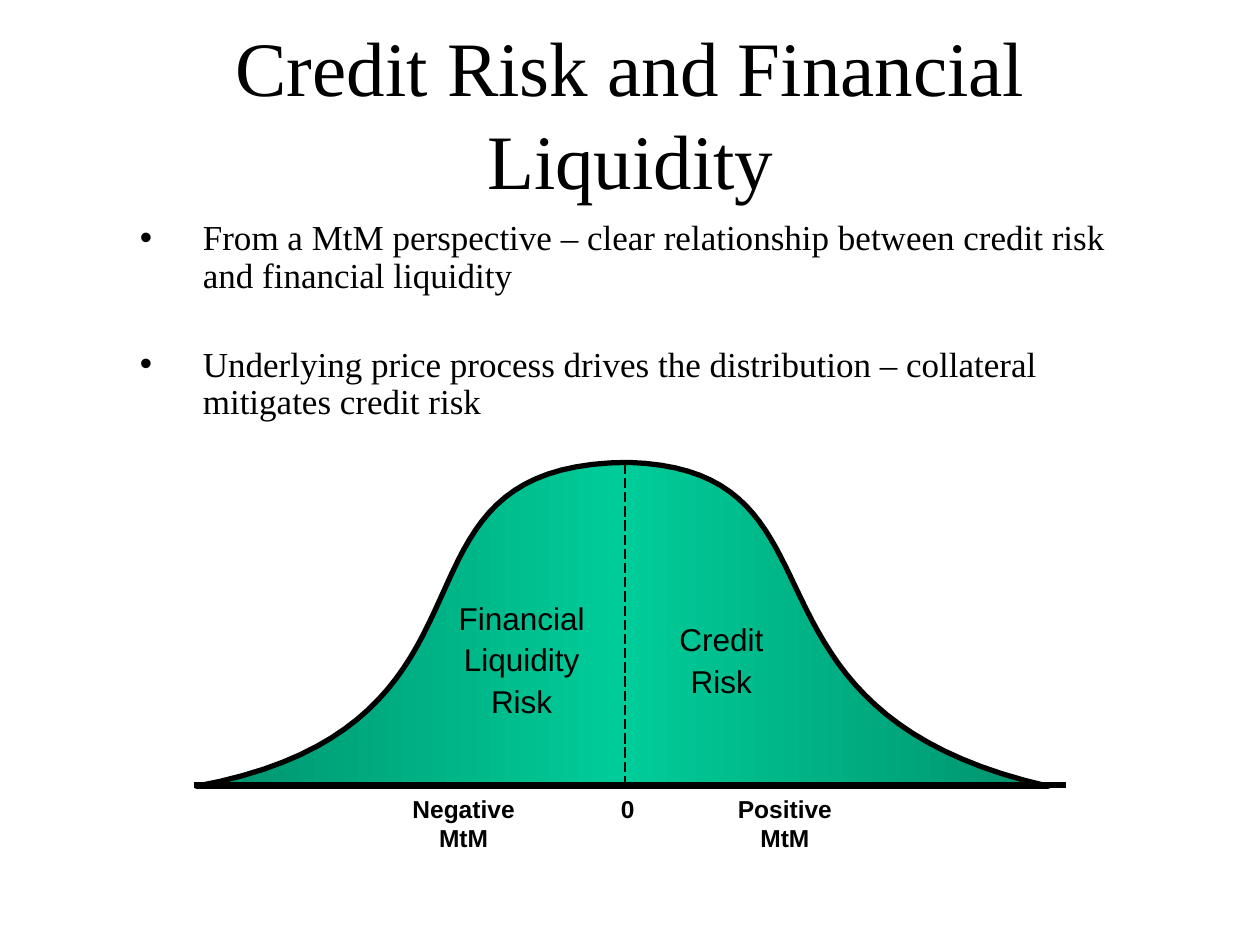
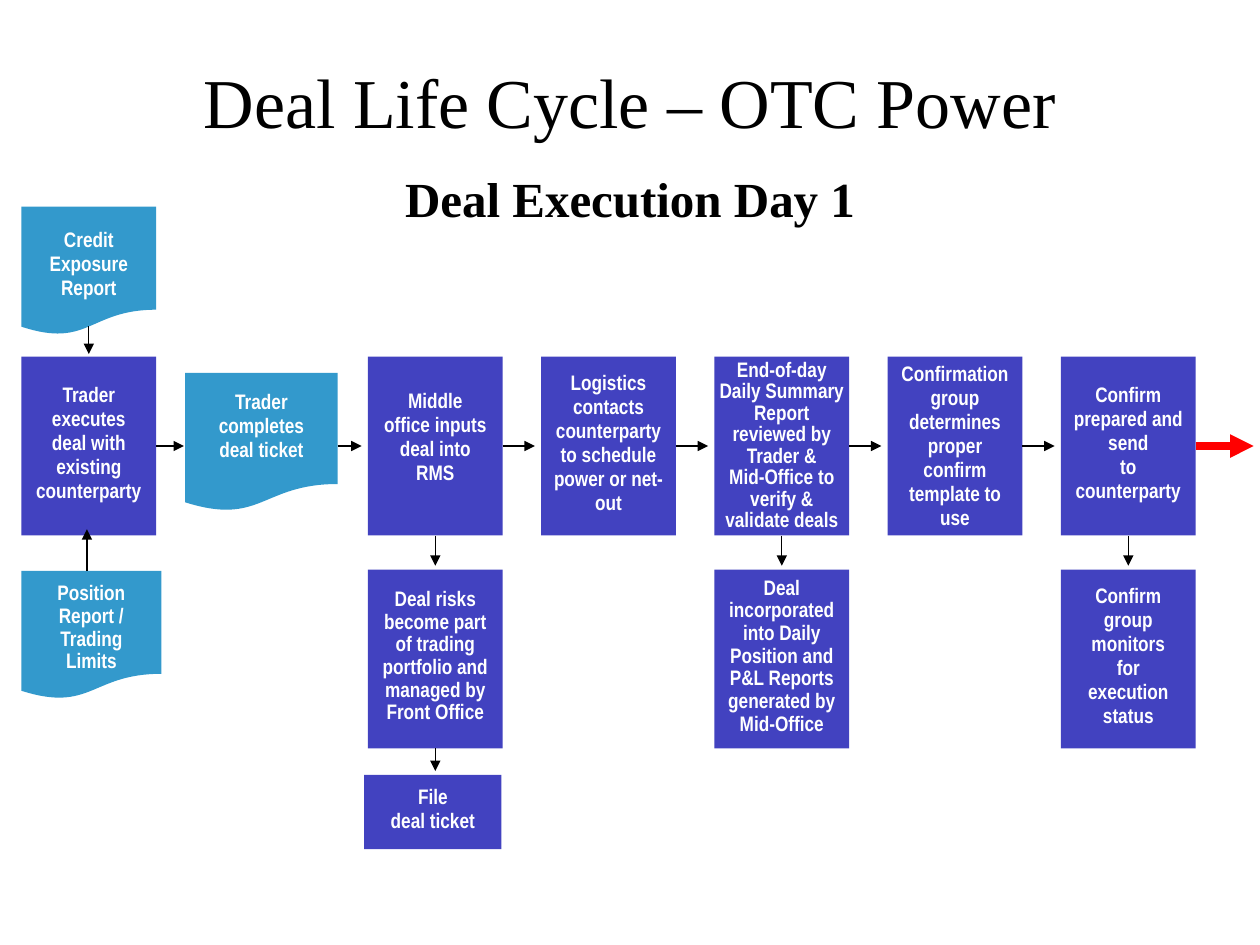
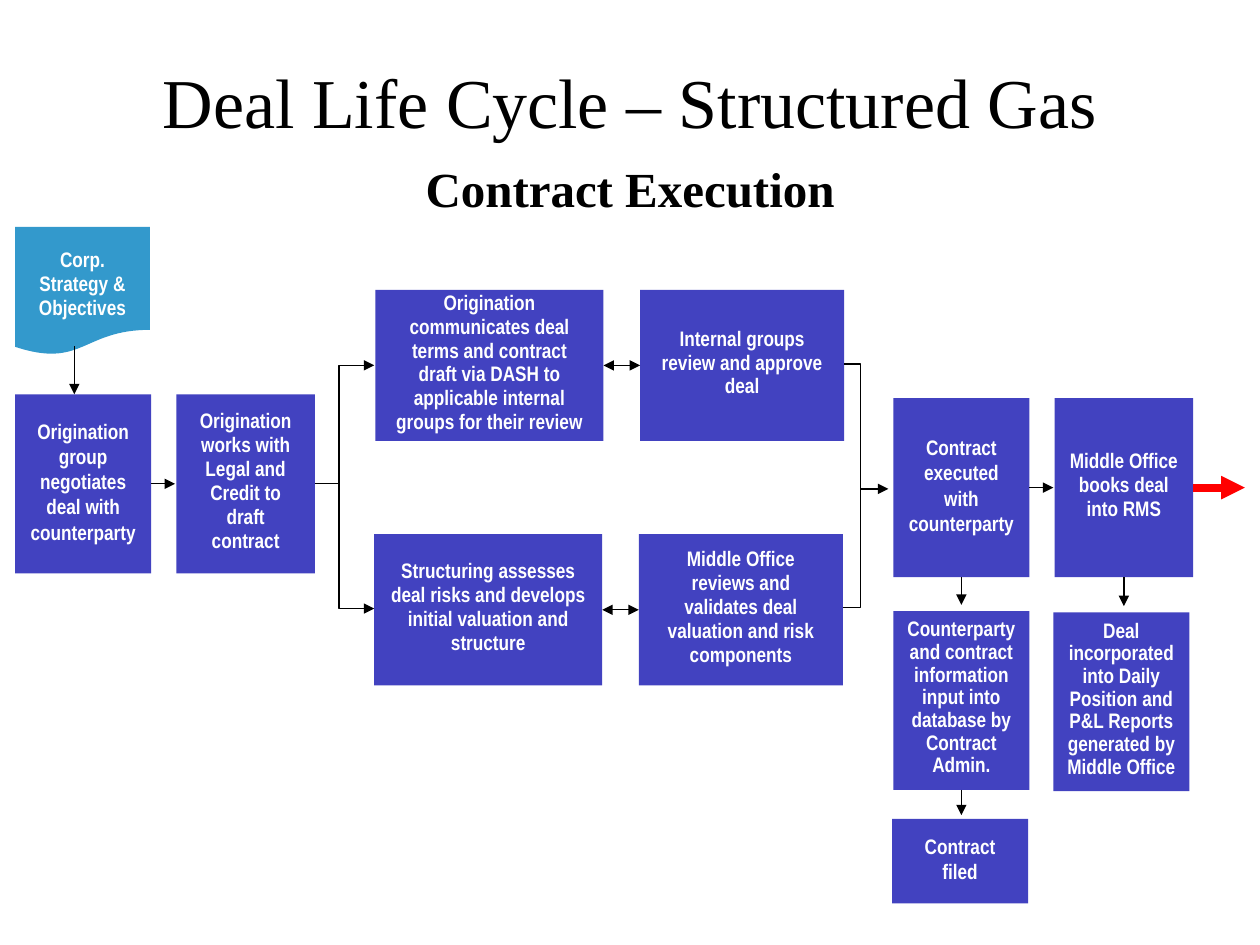
from copy import deepcopy

from lxml.etree import SubElement
from pptx import Presentation
from pptx.dml.color import RGBColor
from pptx.enum.dml import MSO_LINE
from pptx.enum.shapes import MSO_CONNECTOR, MSO_SHAPE
from pptx.enum.text import MSO_ANCHOR, PP_ALIGN
from pptx.oxml.ns import qn
from pptx.util import Inches, Pt

BLACK = RGBColor(0x00, 0x00, 0x00)
WHITE = RGBColor(0xFF, 0xFF, 0xFF)
RED = RGBColor(0xFF, 0x00, 0x00)
INDIGO = RGBColor(0x42, 0x42, 0xC0)
SKY = RGBColor(0x33, 0x99, 0xCC)
GREEN = RGBColor(0x00, 0xCC, 0x99)
DARK_GREEN = RGBColor(0x00, 0x92, 0x6D)
SERIF, SANS, NARROW = "Times New Roman", "Arial", "Arial Narrow"

TITLE_AREA = (0.75, 0.17, 8.5, 1.25)
TOP, LEFT, BOTTOM, RIGHT = range(4)
WAVE = 0.93
BOX_H, DOC_H = 1.42, 1.02

BULLETS = [
    "From a MtM perspective – clear relationship between credit risk and financial liquidity",
    "Underlying price process drives the distribution – collateral mitigates credit risk",
]
BELL = [
    [(8.32, 6.24), (5.68, 5.64), (6.84, 3.73), (4.99, 3.67)],
    [(4.99, 3.67), (2.89, 3.68), (4.22, 5.75), (1.56, 6.24)],
]
AXIS_LABELS = [
    ("Negative MtM", (3.08, 6.25, 1.2, 0.55)),
    ("0", (4.83, 6.25, 0.3, 0.33)),
    ("Positive MtM", (5.63, 6.25, 1.2, 0.55)),
]
AREA_LABELS = [
    (["Financial", "Liquidity", "Risk"], (3.54, 4.75, 1.2, 1.05)),
    (["Credit", "Risk"], (5.29, 4.92, 0.87, 0.7)),
]

X, STEP, W = 0.17, 1.375, 1.07
ROW1, ROW2 = 2.83, 4.52
POWER_DOCS = {
    "exposure": ((X, 1.64, W, DOC_H), "Credit\nExposure\nReport", {}),
    "ticket": ((1.47, 2.96, 1.21, 1.1), "Trader\ncompletes\ndeal ticket", {"lift": 0.02}),
    "limits": ((X, 4.53, 1.11, DOC_H), "Position Report / Trading Limits", {"spacing": 0.9}),
}
POWER_BOXES = {
    "trader": ((X, ROW1, W, BOX_H),
               "Trader\nexecutes\ndeal with existing counterparty", {"pad": 0}),
    "middle": ((X + 2 * STEP, ROW1, W, BOX_H),
               "Middle\noffice inputs deal into RMS", {"lift": 0.07}),
    "logistics": ((X + 3 * STEP, ROW1, W, BOX_H),
                  "Logistics contacts counterparty to schedule power or net-out", {}),
    "summary": ((X + 4 * STEP, ROW1, W, BOX_H),
                "End-of-day Daily Summary Report reviewed by Trader &\nMid-Office to verify &\n"
                "validate deals", {"pad": 0.01, "spacing": 0.85, "lift": 0}),
    "template": ((X + 5 * STEP, ROW1, W, BOX_H),
                 "Confirmation group determines proper confirm template to use", {"lift": 0}),
    "confirm": ((X + 6 * STEP, ROW1, W, BOX_H),
                "Confirm\nprepared and send\nto\ncounterparty", {}),
    "risks": ((X + 2 * STEP, ROW2, W, BOX_H),
              "Deal risks become part of trading portfolio and managed by Front Office",
              {"spacing": 0.9}),
    "reports": ((X + 4 * STEP, ROW2, W, BOX_H),
                "Deal incorporated into Daily Position and P&L Reports generated by Mid-Office",
                {"spacing": 0.9}),
    "monitor": ((X + 6 * STEP, ROW2, W, BOX_H),
                "Confirm\ngroup\nmonitors\nfor\nexecution\nstatus", {}),
    "file": ((2.89, 6.15, 1.09, 0.59), "File\ndeal ticket", {}),
}
POWER_LINKS = [
    ("exposure", BOTTOM, "trader", {"gap": 0.02}),
    ("limits", TOP, "trader", {"gap": -0.05, "at": 0.69}),
    ("trader", RIGHT, "ticket", {"gap": 0.01}),
    ("ticket", RIGHT, "middle", {}),
    ("middle", RIGHT, "logistics", {}),
    ("logistics", RIGHT, "summary", {}),
    ("summary", RIGHT, "template", {}),
    ("template", RIGHT, "confirm", {}),
    ("middle", BOTTOM, "risks", {"gap": 0.03}),
    ("risks", BOTTOM, "file", {"gap": 0.03}),
    ("summary", BOTTOM, "reports", {"gap": 0.03}),
    ("confirm", BOTTOM, "monitor", {"gap": 0.03}),
]

GAS_DOCS = {"strategy": ((0.12, 1.8, W, DOC_H), "Corp. Strategy & Objectives", {})}
GAS_BOXES = {
    "group": ((0.12, 3.13, 1.08, BOX_H),
              "Origination group negotiates\ndeal with counterparty", {"spacing": 1}),
    "draft": ((1.4, 3.13, 1.1, BOX_H),
              "Origination works with\nLegal and Credit to draft\ncontract", {"pad": 0.11}),
    "terms": ((2.98, 2.3, 1.81, 1.2),
              "Origination communicates deal terms and contract draft via DASH to applicable "
              "internal groups for their review", {"pad": 0.12}),
    "review": ((5.08, 2.3, 1.62, 1.2), "Internal groups review and approve deal", {"pad": 0.13}),
    "assess": ((2.97, 4.24, 1.81, 1.2),
               "Structuring assesses deal risks and develops initial valuation and structure",
               {"pad": 0.12}),
    "validate": ((5.07, 4.24, 1.62, 1.2),
                 "Middle Office reviews and validates deal valuation and risk components",
                 {"pad": 0.13}),
    "executed": ((7.09, 3.16, 1.08, BOX_H),
                 "Contract executed with counterparty", {"spacing": 1}),
    "books": ((8.37, 3.16, 1.1, BOX_H), "Middle Office books deal into RMS", {}),
    "database": ((7.09, 4.85, 1.08, BOX_H),
                 "Counterparty and contract information input into database by Contract Admin.",
                 {"pad": 0.08, "spacing": 0.9}),
    "reports": ((8.36, 4.86, 1.08, BOX_H),
                "Deal incorporated into Daily Position and P&L Reports generated by Middle Office",
                {"pad": 0.08, "spacing": 0.9}),
    "filed": ((7.08, 6.5, 1.08, 0.67), "Contract\nfiled", {"spacing": 1}),
}
GAS_LINKS = [
    ("strategy", BOTTOM, "group", {"gap": 0, "at": 0.59}),
    ("group", RIGHT, "draft", {"gap": 0.01}),
    ("terms", RIGHT, "review", {"gap": 0, "head": True}),
    ("assess", RIGHT, "validate", {"gap": 0, "head": True}),
    ("executed", RIGHT, "books", {"gap": 0.01}),
    ("executed", BOTTOM, "database", {}),
    ("books", BOTTOM, "reports", {}),
    ("database", BOTTOM, "filed", {"gap": 0.03}),
]
SPLIT = [(2.97, 4.83), (2.69, 4.83), (2.69, 2.9), (2.97, 2.9)]
MERGE = [(6.7, 2.89), (6.83, 2.89), (6.83, 4.82), (6.69, 4.82)]


def write(tf, text, size=12, font=NARROW, color=WHITE, bold=False, align=PP_ALIGN.CENTER,
          spacing=1, before=0, after=0, anchor=MSO_ANCHOR.MIDDLE):
    tf.word_wrap = True
    tf.vertical_anchor = anchor
    paragraphs = [text] if isinstance(text, str) else text
    for i, content in enumerate(paragraphs):
        p = tf.add_paragraph() if i else tf.paragraphs[0]
        p.alignment, p.line_spacing = align, spacing
        p.space_before, p.space_after = Pt(before), Pt(after)
        for j, part in enumerate(content.split("\n")):
            if j:
                p.add_line_break()
                p._p[-1].append(deepcopy(r._r.rPr))
            r = p.add_run()
            r.text = part
            r.font.size, r.font.name, r.font.bold = Pt(size), font, bold
            r.font.color.rgb = color


def place(sp, area):
    sp.left, sp.top, sp.width, sp.height = map(Inches, area)


def add_slide(prs, layout, title, area=TITLE_AREA, size=40):
    s = prs.slides.add_slide(prs.slide_layouts[layout])
    place(s.shapes.title, area)
    write(s.shapes.title.text_frame, title, size=size, font=SERIF, color=BLACK)
    return s


def add_text(s, text, area, **fmt):
    write(s.shapes.add_textbox(*map(Inches, area)).text_frame, text, **fmt)


def style_line(sp, color=BLACK, width=0.75, dash=None, head=False, tail=False):
    sp.line.color.rgb, sp.line.width = color, Pt(width)
    if dash:
        sp.line.dash_style = dash
    ln = sp.line._get_or_add_ln()
    for tag, wanted in (("a:headEnd", head), ("a:tailEnd", tail)):
        if wanted:
            SubElement(ln, qn(tag), type="triangle")


def add_line(s, start, end, **fmt):
    c = s.shapes.add_connector(MSO_CONNECTOR.STRAIGHT, *map(Inches, start + end))
    style_line(c, **fmt)
    SubElement(c._element.spPr, qn("a:effectLst"))
    return c


def add_outline(s, points, close=False):
    fb = s.shapes.build_freeform(*map(Inches, points[0]), scale=1.0)
    fb.add_line_segments([tuple(map(Inches, pt)) for pt in points[1:]], close=close)
    sp = fb.convert_to_shape()
    sp.shadow.inherit = False
    return sp


def add_bracket(s, points, **fmt):
    sp = add_outline(s, points)
    sp.fill.background()
    style_line(sp, **fmt)


def add_step(s, kind, color, area, text, pad=0.09, lift=0.02, spacing=0.95):
    sp = s.shapes.add_shape(kind, *map(Inches, area))
    sp.shadow.inherit = False
    sp.fill.solid()
    sp.fill.fore_color.rgb = color
    sp.line.fill.background()
    tf = sp.text_frame
    tf.margin_left = tf.margin_right = Inches(pad)
    tf.margin_top, tf.margin_bottom = Inches(max(-2 * lift, 0)), Inches(max(2 * lift, 0))
    write(tf, text, bold=True, spacing=spacing)
    return sp


def side_point(area, side, is_doc=False):
    x, y, w, h = area
    return {TOP: (x + w / 2, y), LEFT: (x, y + h / 2),
            BOTTOM: (x + w / 2, y + h * (WAVE if is_doc else 1)),
            RIGHT: (x + w, y + h / 2)}[side]


def add_flow(s, docs, boxes, links):
    steps = {}
    for name, (area, text, fmt) in docs.items():
        add_step(s, MSO_SHAPE.FLOWCHART_DOCUMENT, SKY, area, text, **{"lift": -0.045, **fmt})
    for name, (area, text, fmt) in boxes.items():
        steps[name] = add_step(s, MSO_SHAPE.RECTANGLE, INDIGO, area, text, **fmt)
    areas = {name: item[0] for name, item in {**docs, **boxes}.items()}
    for begin, side, end, opts in links:
        gap, at = opts.get("gap", 0.05), opts.get("at")
        far = (side + 2) % 4
        x1, y1 = side_point(areas[begin], side, begin in docs)
        x2, y2 = side_point(areas[end], far, end in docs)
        if side == RIGHT:
            y1 = y2 = y2 if begin in docs else y1
            x2 -= gap
        else:
            x1 = x2 = at or (x2 if begin in docs else x1)
            y2 -= gap if side == BOTTOM else -gap
        c = add_line(s, (x1, y1), (x2, y2), tail=True, head=opts.get("head", False))
        if begin in steps:
            c.begin_connect(steps[begin], side)
        if end in steps and gap == 0 and not at:
            c.end_connect(steps[end], far)
    return steps


def add_exit(s, step, start, end):
    c = add_line(s, start, end, color=RED, width=4.5, tail=True)
    c.begin_connect(step, RIGHT)


def bezier(points, n=40):
    def at(t):
        weights = ((1 - t) ** 3, 3 * t * (1 - t) ** 2, 3 * t * t * (1 - t), t ** 3)
        return tuple(sum(k * pt[i] for k, pt in zip(weights, points)) for i in (0, 1))
    return [at(i / n) for i in range(n + 1)]


def fill_bell(sp):
    sp.fill.gradient()
    sp.fill.gradient_angle = 0
    stops = sp.fill.gradient_stops
    for stop, color, position in zip(stops, (DARK_GREEN, GREEN), (0, 0.5)):
        stop.color.rgb, stop.position = color, position
    gs_list = sp._element.spPr.find(".//" + qn("a:gsLst"))
    last = deepcopy(gs_list[0])
    last.set("pos", "100000")
    gs_list.append(last)


def credit_risk(prs):
    s = add_slide(prs, 1, "Credit Risk and Financial Liquidity", (1.46, 0.2, 7.09, 1.38), 44)
    body = s.placeholders[1]
    place(body, (1.01, 1.7, 7.98, 1.86))
    write(body.text_frame, BULLETS, size=20, font=SERIF, color=BLACK, align=PP_ALIGN.LEFT,
          spacing=0.9, before=4, anchor=MSO_ANCHOR.TOP)
    for p in body.text_frame.paragraphs:
        pPr = p._p.get_or_add_pPr()
        pPr.set("marL", str(Inches(0.5)))
        pPr.set("indent", str(-Inches(0.5)))
        SubElement(pPr, qn("a:buChar"), char="•")
    body.text_frame.paragraphs[1].space_before = Pt(29)

    bell = add_outline(s, bezier(BELL[0]) + bezier(BELL[1])[1:], close=True)
    fill_bell(bell)
    style_line(bell, width=3)
    add_line(s, (1.54, 6.23), (8.46, 6.23), width=3)
    add_line(s, (4.96, 3.68), (4.96, 6.25), dash=MSO_LINE.LONG_DASH)
    for text, area in AXIS_LABELS:
        add_text(s, text, area, size=14, font=SANS, color=BLACK, bold=True,
                 anchor=MSO_ANCHOR.TOP)
    for text, area in AREA_LABELS:
        add_text(s, text, area, size=18, font=SANS, color=BLACK, spacing=0.85,
                 before=2.7, after=2.7, anchor=MSO_ANCHOR.TOP)


def add_cycle(prs, title, subtitle, top, docs, boxes, links):
    s = add_slide(prs, 5, title)
    add_text(s, subtitle, (0.79, top, 8.42, 0.7), size=28, font=SERIF, color=BLACK, bold=True)
    return s, add_flow(s, docs, boxes, links)


def otc_power(prs):
    s, steps = add_cycle(prs, "Deal Life Cycle – OTC Power", "Deal Execution Day 1", 1.22,
                         POWER_DOCS, POWER_BOXES, POWER_LINKS)
    add_exit(s, steps["confirm"], (9.49, 3.54), (9.95, 3.54))


def structured_gas(prs):
    s, steps = add_cycle(prs, "Deal Life Cycle – Structured Gas", "Contract Execution", 1.14,
                         GAS_DOCS, GAS_BOXES, GAS_LINKS)
    add_bracket(s, SPLIT, head=True, tail=True)
    add_bracket(s, MERGE)
    c = add_line(s, (2.5, 3.84), (2.69, 3.84))
    c.begin_connect(steps["draft"], RIGHT)
    add_line(s, (6.83, 3.88), (7.05, 3.88), tail=True)
    add_exit(s, steps["books"], (9.47, 3.87), (9.88, 3.87))


def main():
    prs = Presentation()
    prs.slide_width, prs.slide_height = Inches(10), Inches(7.5)
    credit_risk(prs)
    otc_power(prs)
    structured_gas(prs)
    prs.save("out.pptx")


if __name__ == "__main__":
    main()
